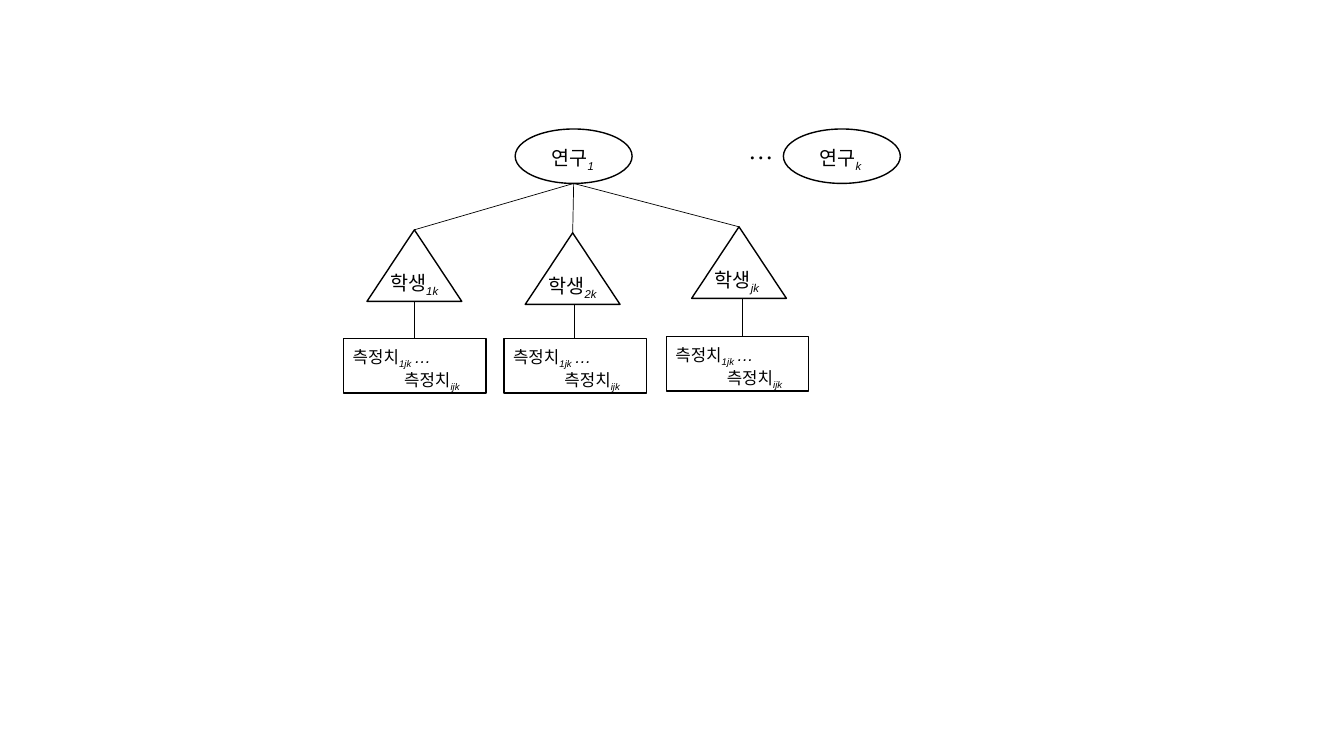
"""Build a slide showing measurements nested in students nested in studies."""
from pptx import Presentation
from pptx.dml.color import RGBColor
from pptx.enum.shapes import MSO_CONNECTOR as Connector, MSO_SHAPE as Shape
from pptx.oxml.ns import qn
from pptx.util import Inches, Pt
from lxml.etree import SubElement

BLACK = RGBColor(0, 0, 0)
WHITE = RGBColor(255, 255, 255)

STUDY, STUDENT, MEASURE = "연구", "학생", "측정치"
STUDIES = [("1", 5.11), ("k", 7.77)]
STUDENTS = [
    {"index": "1k", "left": 3.64, "top": 2.28, "stem": 4.11, "measure": (3.41, 3.36)},
    {"index": "2k", "left": 5.21, "top": 2.31, "stem": 5.70, "measure": (5.00, 3.36)},
    {"index": "jk", "left": 6.86, "top": 2.25, "stem": 7.36, "measure": (6.61, 3.34)},
]
STUDY_TOP = 1.28
STUDY_SIZE = (1.16, 0.54)
STUDENT_SIZE = (0.94, 0.71)
MEASURE_SIZE = (1.41, 0.54)
LABEL_SIZE = (0.79, 0.33)

deck = Presentation()
deck.slide_width, deck.slide_height = Inches(13.33), Inches(7.5)
page = deck.slides.add_slide(deck.slide_layouts[6])


def add_outline(kind, left, top, size, fill=WHITE):
    shape = page.shapes.add_shape(kind, *map(Inches, (left, top, *size)))
    shape.shadow.inherit = False
    shape.line.color.rgb = BLACK
    shape.line.width = Pt(1)
    if fill is None:
        shape.fill.background()
    else:
        shape.fill.solid()
        shape.fill.fore_color.rgb = fill


def add_line(*ends):
    line = page.shapes.add_connector(Connector.STRAIGHT, *map(Inches, ends))
    line.line.color.rgb = BLACK
    line.line.width = Pt(0.5)
    SubElement(line._element.spPr, qn("a:effectLst"))


def add_text(lines, left, top, size, points=14, font="Arial", indents=(0,)):
    """Write lines of (text, style) spans; style is plain, italic or sub."""
    box = page.shapes.add_textbox(*map(Inches, (left, top, *size)))
    frame = box.text_frame
    frame.word_wrap = True
    for number, (spans, indent) in enumerate(zip(lines, indents)):
        para = frame.add_paragraph() if number else frame.paragraphs[0]
        para._p.get_or_add_pPr().set("marL", str(Inches(indent)))
        for text, style in spans:
            span = para.add_run()
            span.text = text
            span.font.name = font
            span.font.size = Pt(points)
            span.font.color.rgb = BLACK
            span.font.italic = style != "plain"
            if style == "sub":
                span._r.get_or_add_rPr().set("baseline", "-25000")


def indexed(name, index):
    return [(name, "plain"), (index, "sub")]


for index, left in STUDIES:
    add_outline(Shape.OVAL, left, STUDY_TOP, STUDY_SIZE)
    add_text([indexed(STUDY, index)], left + 0.26, STUDY_TOP + 0.12, LABEL_SIZE)
add_text([[("…", "italic")]], 7.34, STUDY_TOP, (0.58, 0.31),
         points=18, font="Times New Roman")

study_center = STUDIES[0][1] + STUDY_SIZE[0] / 2
study_bottom = STUDY_TOP + STUDY_SIZE[1]
measure_lines = [
    indexed(MEASURE, "1jk ") + [("…", "italic")],
    indexed(MEASURE, "ijk"),
]
for student in STUDENTS:
    left, top, stem = student["left"], student["top"], student["stem"]
    measure_left, measure_top = student["measure"]
    add_line(study_center, study_bottom, left + STUDENT_SIZE[0] / 2, top)
    add_line(stem, top + STUDENT_SIZE[1], stem, measure_top)
    add_outline(Shape.ISOSCELES_TRIANGLE, left, top, STUDENT_SIZE)
    add_text([indexed(STUDENT, student["index"])], left + 0.13, top + 0.36, LABEL_SIZE)
    add_outline(Shape.RECTANGLE, measure_left, measure_top, MEASURE_SIZE, fill=None)
    add_text(measure_lines, measure_left - 0.06, measure_top + 0.03, (1.52, 0.5),
             points=12, indents=(0.05, 0.56))

deck.save("out.pptx")
